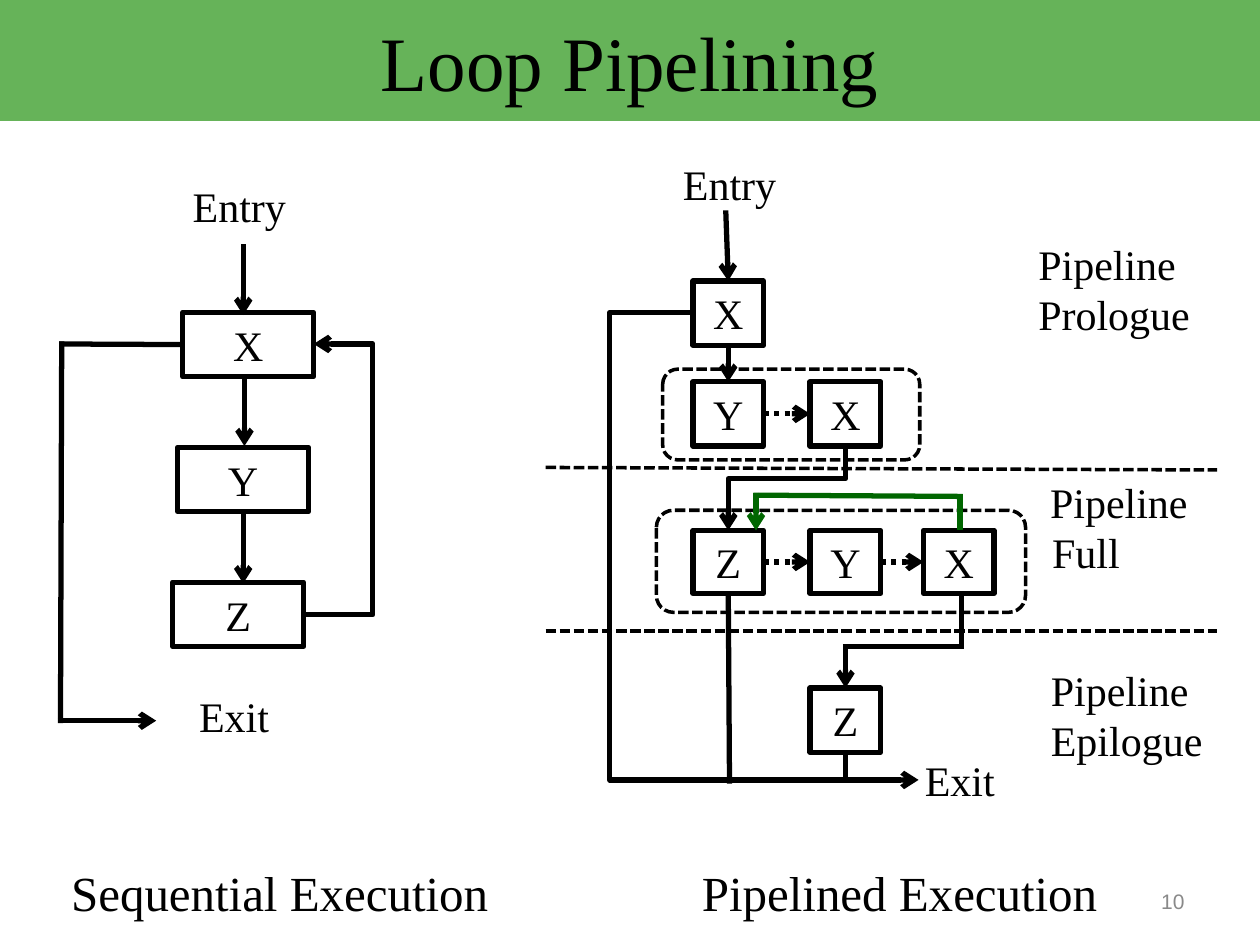
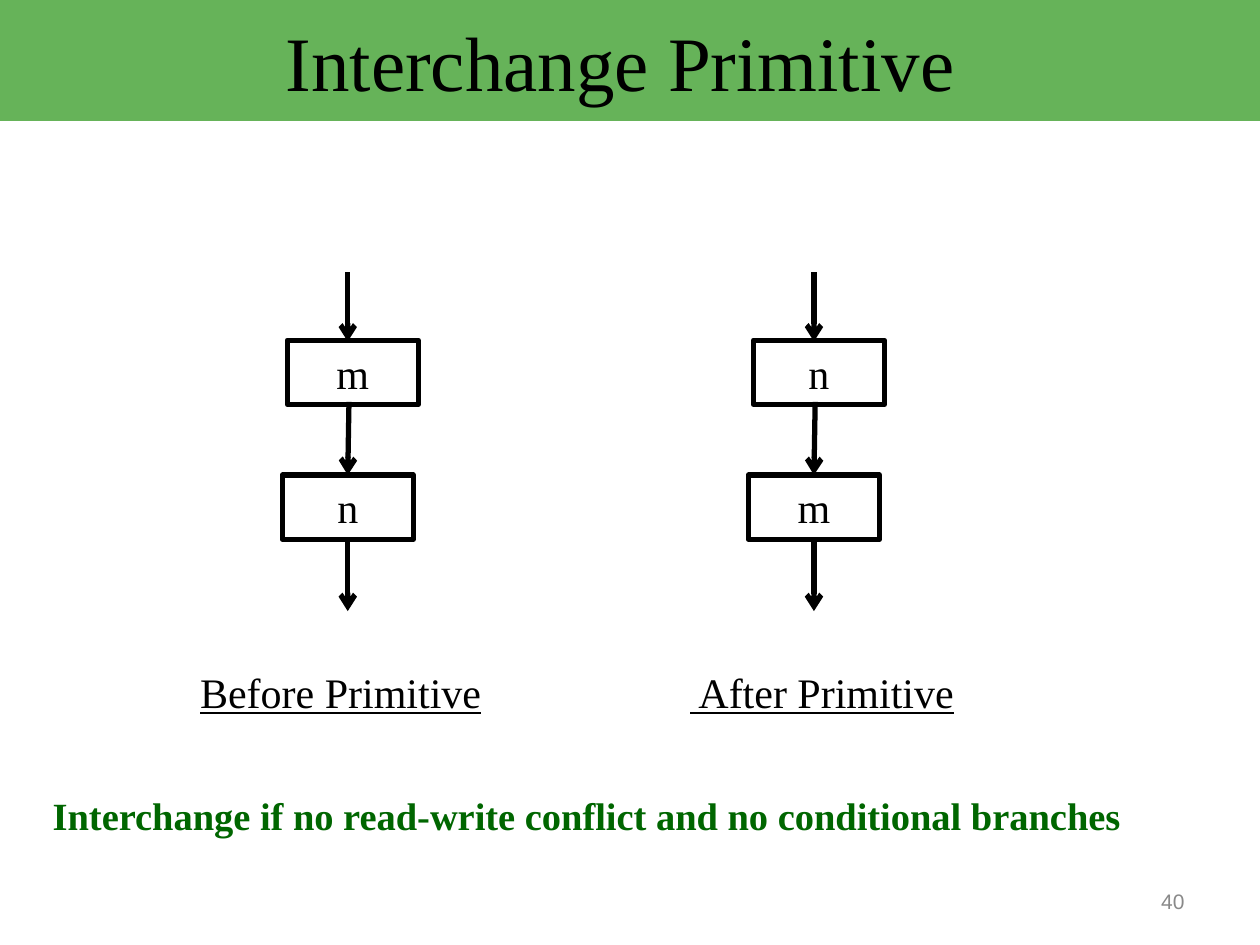
import pptx
import pptx.util
from lxml import etree
from pptx.dml.color import RGBColor
from pptx.enum.dml import MSO_LINE
from pptx.enum.shapes import MSO_CONNECTOR, MSO_SHAPE
from pptx.enum.text import MSO_ANCHOR, MSO_AUTO_SIZE, PP_ALIGN
from pptx.oxml.ns import qn

PX = 9144  # EMU in one px, 100 px to the inch
COLORS = {"band": "66B359", "ink": "000000", "accent": "006600", "page": "898989"}
SERIF, SANS = "Times New Roman", "Arial"
TOP, LEFT, BOTTOM, RIGHT = range(4)
DASH, DOT = MSO_LINE.SQUARE_DOT, MSO_LINE.ROUND_DOT
TITLE_ONLY = 5


def px(length):
    return pptx.util.Emu(round(length * PX))


def color(name):
    return RGBColor.from_string(COLORS[name])


def set_text(shape, text, size, ink="ink", font=SERIF, align=PP_ALIGN.LEFT,
             anchor=MSO_ANCHOR.TOP, inset=(5, 2), bold=False, underline=False):
    """Fill the shape with text, one paragraph a line, all in one style."""
    frame = shape.text_frame
    frame.text = text
    frame.word_wrap = True
    frame.auto_size = MSO_AUTO_SIZE.NONE
    frame.vertical_anchor = anchor
    frame.margin_left = frame.margin_right = px(inset[0])
    frame.margin_top = frame.margin_bottom = px(inset[1])
    for paragraph in frame.paragraphs:
        paragraph.alignment = align
        paragraph.font.name = font
        paragraph.font.size = pptx.util.Pt(size)
        paragraph.font.bold = bold
        paragraph.font.underline = underline
        paragraph.font.color.rgb = color(ink)


def set_line(line, ink, width, dash):
    line.color.rgb = color(ink)
    line.width = pptx.util.Pt(width)
    if dash:
        line.dash_style = dash


class Region:
    """Draws on a slide with positions relative to its own left and top."""

    def __init__(self, slide, left, top):
        self.shapes = slide.shapes
        self.left, self.top = left, top

    def place(self, x, y):
        return px(self.left + x), px(self.top + y)

    def label(self, text, x, y, width, height, size=24, **style):
        textbox = self.shapes.add_textbox(*self.place(x, y), px(width), px(height))
        set_text(textbox, text, size, **style)
        return textbox

    def outline(self, kind, x, y, width, height, weight=3, dash=None):
        shape = self.shapes.add_shape(kind, *self.place(x, y), px(width), px(height))
        shape.shadow.inherit = False
        shape.fill.background()
        set_line(shape.line, "ink", weight, dash)
        return shape

    def node(self, text, x, y, width=56, height=51):
        shape = self.outline(MSO_SHAPE.RECTANGLE, x, y, width, height)
        set_text(shape, text, 24, align=PP_ALIGN.CENTER, anchor=MSO_ANCHOR.MIDDLE)
        return shape

    def connector(self, kind, begin, end, arrow, ink="ink", weight=3, dash=None):
        connector = self.shapes.add_connector(kind, *self.place(*begin), *self.place(*end))
        set_line(connector.line, ink, weight, dash)
        properties = connector._element.spPr
        if arrow:
            etree.SubElement(properties.find(qn("a:ln")), qn("a:tailEnd"), type="arrow")
        etree.SubElement(properties, qn("a:effectLst"))
        return connector

    def line(self, begin, end, arrow=False, **style):
        """Join two ends, each a point (x, y) or a joint (shape, side)."""
        ends = [point if isinstance(point[0], int) else (0, 0) for point in (begin, end)]
        connector = self.connector(MSO_CONNECTOR.STRAIGHT, *ends, arrow, **style)
        if not isinstance(begin[0], int):
            connector.begin_connect(*begin)
        if not isinstance(end[0], int):
            connector.end_connect(*end)

    def arrow(self, begin, end, **style):
        self.line(begin, end, arrow=True, **style)

    def elbow(self, begin, end, bend, downward=False):
        """Arrow that turns at x = bend, or at y = bend when it runs down and left."""
        axis = 1 if downward else 0
        ratio = (bend - begin[axis]) / (end[axis] - begin[axis])
        if downward:
            center = [(a + b) / 2 for a, b in zip(begin, end)]
            half = (end[1] - begin[1]) / 2, (begin[0] - end[0]) / 2
            begin = [c - h for c, h in zip(center, half)]
            end = [c + h for c, h in zip(center, half)]
        connector = self.connector(MSO_CONNECTOR.ELBOW, begin, end, True)
        properties = connector._element.spPr
        if downward:
            properties.find(qn("a:xfrm")).set("rot", "5400000")
        adjustments = properties.find(qn("a:prstGeom")).find(qn("a:avLst"))
        etree.SubElement(adjustments, qn("a:gd"), name="adj1",
                         fmla=f"val {round(ratio * 100000)}")


def add_slide(presentation, title, number, title_shift=0):
    """Slide with the title band and page number; title_shift widens its right inset."""
    slide = presentation.slides.add_slide(presentation.slide_layouts[TITLE_ONLY])
    band = slide.shapes.title
    band.left, band.top, band.width, band.height = px(0), px(0), px(1000), px(96)
    band.fill.solid()
    band.fill.fore_color.rgb = color("band")
    set_text(band, title, 44, align=PP_ALIGN.CENTER, anchor=MSO_ANCHOR.MIDDLE, inset=(10, 5))
    band.text_frame.margin_right = px(10 + title_shift)
    Region(slide, 717, 695).label(
        str(number), 0, 0, 233, 40, size=12, ink="page", font=SANS,
        align=PP_ALIGN.RIGHT, anchor=MSO_ANCHOR.MIDDLE, inset=(10, 5))
    return slide


def caption(slide, text, left, width):
    Region(slide, left, 679).label(text, 0, 0, width, 57, size=28, align=PP_ALIGN.CENTER,
                                   anchor=MSO_ANCHOR.BOTTOM, inset=(10, 5))


def draw_sequential(slide, left, top):
    region = Region(slide, left, top)
    region.label("Entry", 102, 0, 96, 45)
    region.label("Exit", 107, 405, 162, 45)
    node_x, node_y, node_z = [
        region.node(name, 99 - 4 * row, 107 * (row + 1), 104) for row, name in enumerate("XYZ")]
    region.arrow((147, 53), (147, 109))
    region.arrow((148, 157), (148, 213))
    region.arrow((node_y, BOTTOM), (147, 322))
    region.line((1, 132), (node_x, LEFT))
    region.line((3, 130), (2, 433))
    region.arrow((0, 431), (78, 431))
    region.elbow((195, 347), (203, 132), 250)


def draw_pipelined(slide, left, top):
    region = Region(slide, left, top)
    column_1, column_2, column_3 = 117, 210, 300
    region.label("Entry", 104, 0, 125, 45)
    region.label("Exit", 296, 473, 88, 45)

    first_x = region.node("X", column_1, 99)
    second_y = region.node("Y", column_1, 179)
    second_x = region.node("X", column_2, 179)
    full_z, full_y, full_x = [region.node(name, x, 297, height=50) for name, x in
                              zip("ZYX", (column_1, column_2, column_3))]
    last_z = region.node("Z", column_2, 422)
    for box in ((93, 169, 204, 72), (88, 281, 293, 81)):
        region.outline(MSO_SHAPE.ROUNDED_RECTANGLE, *box, weight=2, dash=DASH)
    region.line((0, 247), (533, 249), weight=2, dash=DASH)
    region.line((0, 377), (533, 377), weight=2, dash=DASH)

    region.arrow((143, 43), (first_x, TOP))
    region.arrow((first_x, BOTTOM), (second_y, TOP))
    for before, after in ((second_y, second_x), (full_z, full_y), (full_y, full_x)):
        region.arrow((before, RIGHT), (after, LEFT), dash=DOT)
    region.elbow((238, 229), (145, 297), 256, downward=True)

    region.line((329, 268), (329, 297), ink="accent")
    region.line((165, 269), (331, 270), ink="accent")
    region.arrow((167, 267), (167, 297), ink="accent")

    region.line((330, 346), (330, 390))
    region.line((236, 389), (332, 389))
    region.arrow((238, 389), (last_z, TOP))
    region.line((full_z, BOTTOM), (146, 498))
    region.line((last_z, BOTTOM), (238, 497))
    region.elbow((117, 124), (296, 495), 51)


def label_stages(slide, left, top):
    region = Region(slide, left, top)
    region.label("Pipeline Prologue", 0, 0, 155, 85)
    full = region.label("Pipeline\nFull", 3, 189, 132, 85)
    heading, rest = full.text_frame.paragraphs
    heading.alignment = PP_ALIGN.CENTER
    rest._p.get_or_add_pPr().set("marL", str(px(8)))
    region.label("Pipeline Epilogue", 10, 338, 138, 85)


def draw_interchange(slide, left, top, names):
    region = Region(slide, left, top)
    region.node(names[0], 4, 54, 104)
    lower = region.node(names[1], 0, 161, 104)
    region.arrow((52, 0), (52, 55))
    region.arrow((53, 103), (lower, TOP))
    region.arrow((lower, BOTTOM), (52, 269))


def main():
    presentation = pptx.Presentation()
    presentation.slide_width, presentation.slide_height = px(1000), px(750)

    pipelining = add_slide(presentation, "Loop Pipelining", 10)
    draw_sequential(pipelining, 46, 141)
    draw_pipelined(pipelining, 433, 124)
    label_stages(pipelining, 819, 187)
    caption(pipelining, "Sequential Execution", 7, 430)
    caption(pipelining, "Pipelined Execution", 517, 394)

    interchange = add_slide(presentation, "Interchange Primitive", 40, title_shift=15)
    draw_interchange(interchange, 224, 216, "mn")
    draw_interchange(interchange, 594, 216, "nm")
    notes = Region(interchange, 32, 524)
    notes.label("Before Primitive", 117, 0, 264, 50, inset=(10, 5), underline=True)
    notes.label(" After Primitive", 506, 0, 242, 50, inset=(10, 5), underline=True)
    notes.label("Interchange if no read-write conflict and no conditional branches",
                0, 100, 940, 47, size=22, ink="accent", inset=(10, 5), bold=True)

    presentation.save("out.pptx")


if __name__ == "__main__":
    main()
